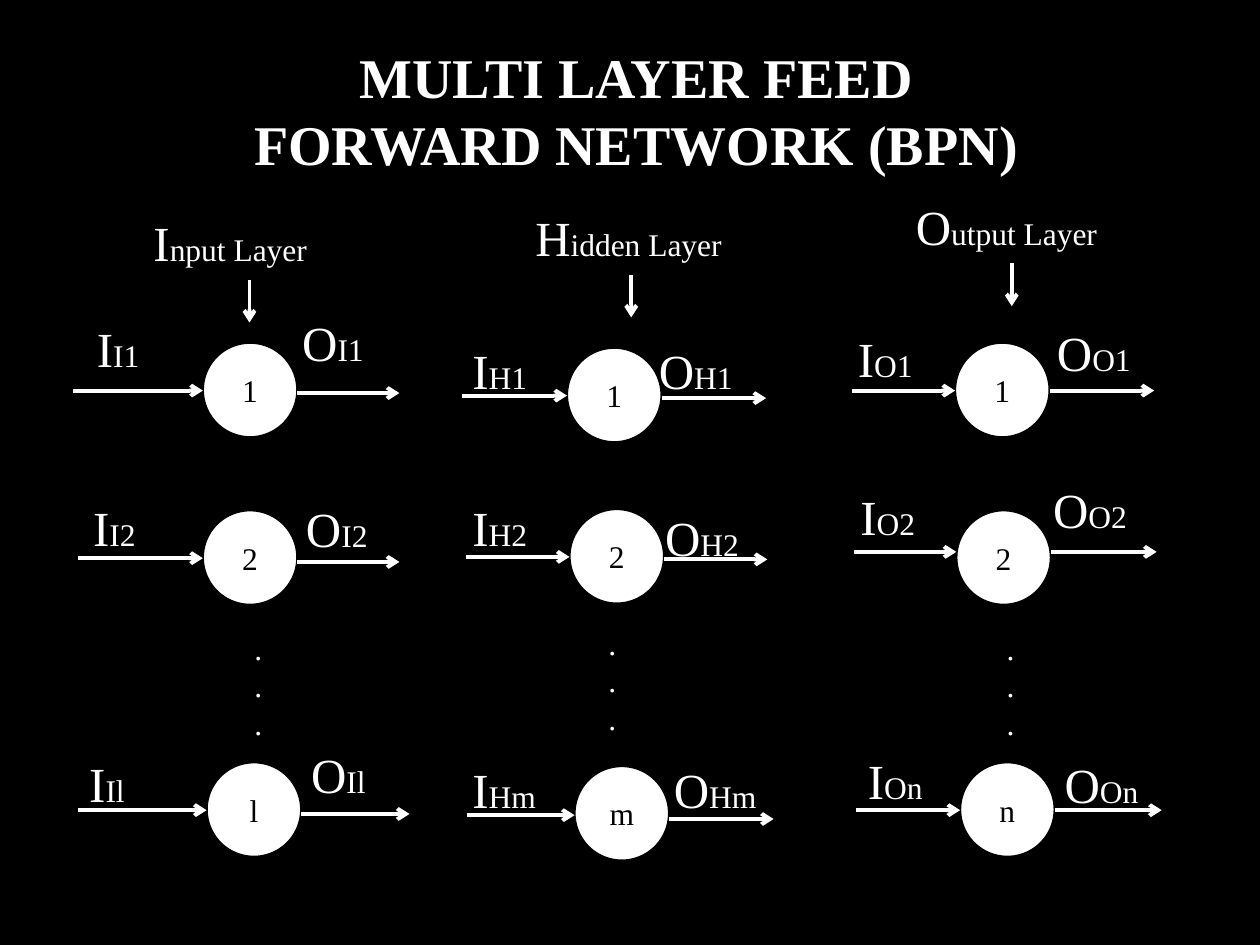
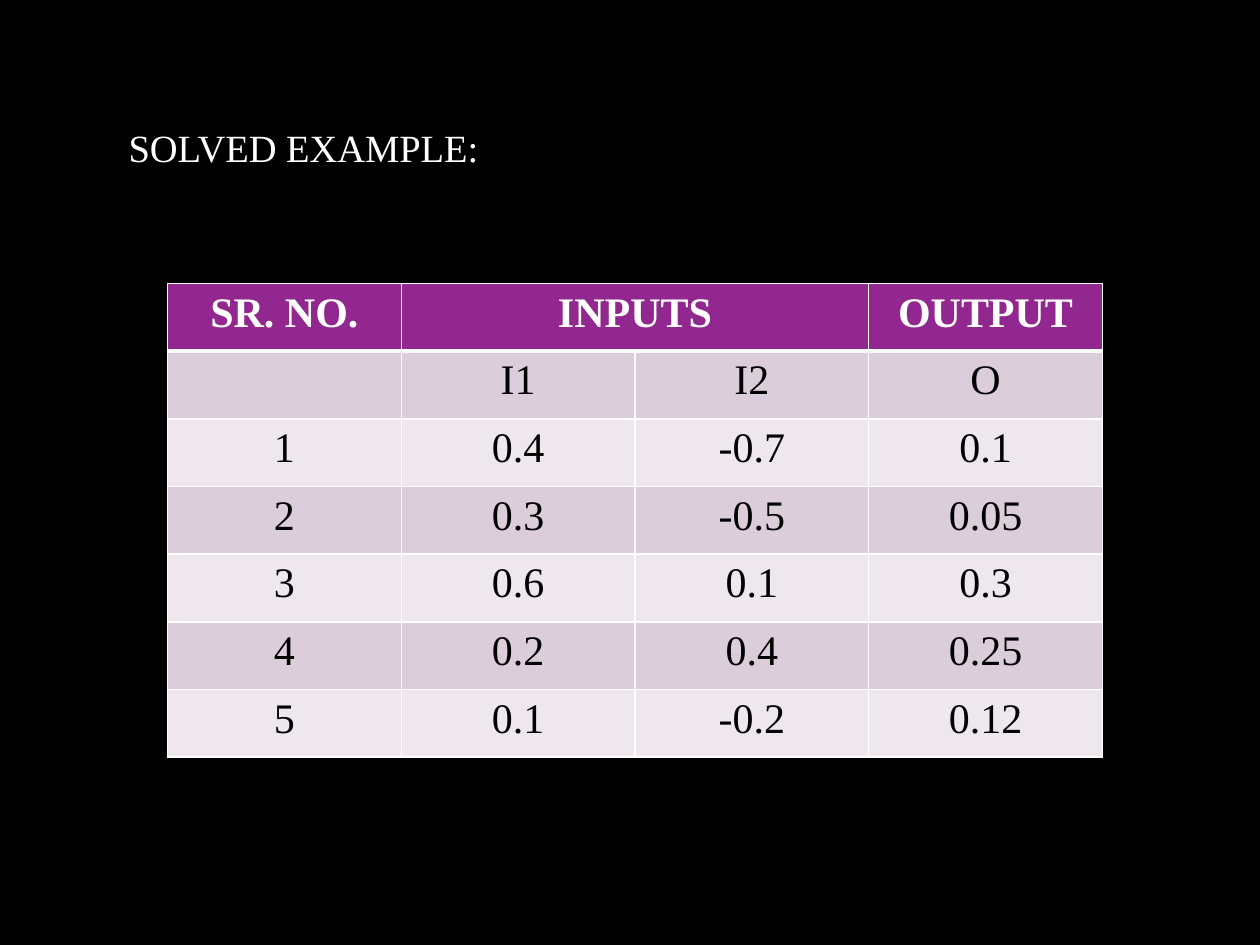
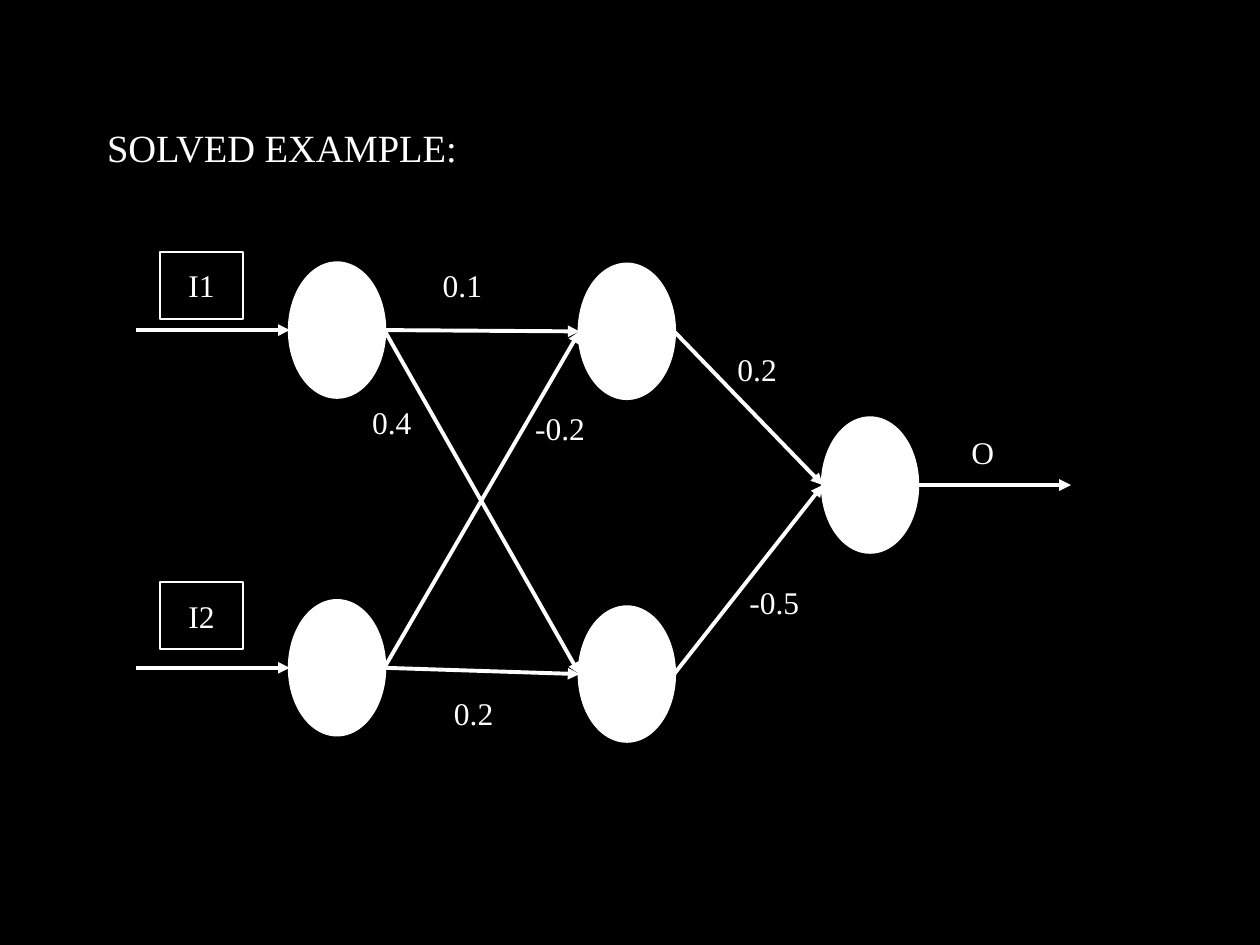
from collections import namedtuple

from lxml import etree
from pptx import Presentation
from pptx.dml.color import RGBColor
from pptx.enum.shapes import MSO_CONNECTOR, MSO_SHAPE
from pptx.enum.text import MSO_ANCHOR, PP_ALIGN
from pptx.oxml.ns import qn
from pptx.util import Inches, Pt

STRAIGHT = MSO_CONNECTOR.STRAIGHT
OVAL = MSO_SHAPE.OVAL
RECTANGLE = MSO_SHAPE.RECTANGLE
MIDDLE = MSO_ANCHOR.MIDDLE
TOP = MSO_ANCHOR.TOP
CENTER = PP_ALIGN.CENTER
LEFT = PP_ALIGN.LEFT

FONT = "Times New Roman"
COLORS = {
    "background": "000000",
    "light": "FFFFFF",
    "dark": "000000",
    "header": "92278F",
    "odd_row": "DCCDDB",
    "even_row": "EEE8EE",
}
TITLE_ONLY = 5

NEURON_SIZE = 0.75
NODE_WIDTH, NODE_HEIGHT = 0.75, 1.06
LABEL_HEIGHT = 0.53

Neuron = namedtuple(
    "Neuron", "name position input_start output_end input_label output_label"
)
Layer = namedtuple("Layer", "name label_position dots_position neurons")

LAYERS = [
    Layer("Input Layer", (1.12, 1.64), (1.92, 4.94), [
        Neuron("1", (1.61, 2.72), (0.58, 3.1), (3.17, 3.12), (0.67, 2.48), (2.3, 2.43)),
        Neuron("2", (1.61, 4.05), (0.62, 4.43), (3.17, 4.46), (0.64, 3.9), (2.33, 3.91)),
        Neuron("l", (1.64, 6.05), (0.62, 6.43), (3.25, 6.46), (0.61, 5.93), (2.37, 5.86)),
    ]),
    Layer("Hidden Layer", (4.15, 1.6), (4.73, 4.9), [
        Neuron("1", (4.5, 2.76), (3.67, 3.14), (6.08, 3.16), (3.65, 2.65), (5.13, 2.65)),
        Neuron("2", (4.52, 4.04), (3.7, 4.42), (6.09, 4.44), (3.65, 3.9), (5.18, 3.98)),
        Neuron("m", (4.56, 6.08), (3.71, 6.47), (6.14, 6.5), (3.65, 5.98), (5.25, 5.98)),
    ]),
    Layer("Output Layer", (7.17, 1.51), (7.89, 4.94), [
        Neuron("1", (7.58, 2.72), (6.76, 3.1), (9.16, 3.1), (6.71, 2.56), (8.29, 2.51)),
        Neuron("2", (7.59, 4.05), (6.78, 4.38), (9.18, 4.38), (6.73, 3.81), (8.26, 3.76)),
        Neuron("n", (7.62, 6.05), (6.79, 6.43), (9.22, 6.43), (6.79, 5.91), (8.35, 5.94)),
    ]),
]

EXAMPLE_ROWS = [
    ["SR. NO.", "INPUTS", "", "OUTPUT"],
    ["", "I1", "I2", "O"],
    ["1", "0.4", "-0.7", "0.1"],
    ["2", "0.3", "-0.5", "0.05"],
    ["3", "0.6", "0.1", "0.3"],
    ["4", "0.2", "0.4", "0.25"],
    ["5", "0.1", "-0.2", "0.12"],
]

NODES = {
    "input 1": (2.3, 2.09),
    "input 2": (2.3, 4.77),
    "hidden 1": (4.6, 2.1),
    "hidden 2": (4.6, 4.82),
    "output": (6.53, 3.32),
}
LINKS = [
    ("input 1", "hidden 1"),
    ("input 1", "hidden 2"),
    ("input 2", "hidden 1"),
    ("input 2", "hidden 2"),
    ("hidden 1", "output"),
    ("hidden 2", "output"),
]
INPUT_LABELS = [("I1", 1.27, 2), ("I2", 1.27, 4.62)]
LINK_LABELS = [
    ("0.1", 3.34, 2, 0.66),
    ("0.4", 2.78, 3.08, 0.66),
    ("-0.2", 4.05, 3.13, 0.79),
    ("0.2", 3.43, 5.39, 0.66),
    ("-0.5", 5.77, 4.51, 0.75),
    ("0.2", 5.68, 2.66, 0.66),
    ("O", 7.47, 3.32, 0.66),
]


def color(name):
    return RGBColor.from_string(COLORS[name])


def format_run(run, size, color_name="light", bold=False):
    run.font.name = FONT
    run.font.size = Pt(size)
    run.font.bold = bold
    run.font.color.rgb = color(color_name)


def write_text(text_frame, text, size=18, color_name="light", bold=False,
               alignment=CENTER, anchor=MIDDLE):
    text_frame.text = text
    text_frame.word_wrap = True
    text_frame.vertical_anchor = anchor
    for paragraph in text_frame.paragraphs:
        paragraph.alignment = alignment
        for run in paragraph.runs:
            format_run(run, size, color_name, bold)


def add_titled_slide(presentation, text, left, top, width, height, **text_format):
    slide = presentation.slides.add_slide(presentation.slide_layouts[TITLE_ONLY])
    title = slide.shapes.title
    title.left, title.top = Inches(left), Inches(top)
    title.width, title.height = Inches(width), Inches(height)
    write_text(title.text_frame, text, **text_format)
    return slide


def add_text(slide, text, left, top, width, height, **text_format):
    box = slide.shapes.add_textbox(
        Inches(left), Inches(top), Inches(width), Inches(height)
    )
    write_text(box.text_frame, text, **text_format)
    return box


def add_large_initial(slide, initial, rest, left, top, width=0.92):
    box = add_text(slide, initial, left, top, width, 0.57,
                   size=28, alignment=LEFT, anchor=TOP)
    run = box.text_frame.paragraphs[0].add_run()
    run.text = rest
    format_run(run, 18)


def add_outlined_shape(slide, kind, left, top, width, height, fill, line, line_width):
    shape = slide.shapes.add_shape(
        kind, Inches(left), Inches(top), Inches(width), Inches(height)
    )
    shape.shadow.inherit = False
    if fill:
        shape.fill.solid()
        shape.fill.fore_color.rgb = color(fill)
    else:
        shape.fill.background()
    shape.line.color.rgb = color(line)
    shape.line.width = Pt(line_width)
    return shape


def add_arrow(slide, start, end, head):
    connector = slide.shapes.add_connector(
        STRAIGHT, *[Inches(value) for value in (*start, *end)]
    )
    connector.line.color.rgb = color("light")
    connector.line.width = Pt(2.25)
    properties = connector._element.spPr
    etree.SubElement(properties.find(qn("a:ln")), qn("a:tailEnd"), type=head)
    etree.SubElement(properties, qn("a:effectLst"))


def add_neuron(slide, neuron, layer_letter):
    left, top = neuron.position
    circle = add_outlined_shape(slide, OVAL, left, top, NEURON_SIZE, NEURON_SIZE,
                                "light", "dark", 1.25)
    write_text(circle.text_frame, neuron.name, color_name="dark")
    add_arrow(slide, neuron.input_start, (left, neuron.input_start[1]), "arrow")
    add_arrow(slide, (left + NEURON_SIZE, neuron.output_end[1]), neuron.output_end, "arrow")
    subscript = layer_letter + neuron.name
    add_large_initial(slide, "I", subscript, *neuron.input_label)
    add_large_initial(slide, "O", subscript, *neuron.output_label)


def add_layer(slide, layer):
    initial, rest = layer.name[0], layer.name[1:]
    left, top = layer.label_position
    add_large_initial(slide, initial, rest, left, top, width=1.96)
    arrow_left = left + 0.86
    add_arrow(slide, (arrow_left, top + 0.58), (arrow_left, top + 0.92), "arrow")
    add_text(slide, ".\n.\n.", *layer.dots_position, 0.52, 1.01,
             alignment=LEFT, anchor=TOP)
    for neuron in layer.neurons:
        add_neuron(slide, neuron, initial)


def set_cell_borders(cell, widths):
    properties = cell._tc.get_or_add_tcPr()
    for side in ("L", "R", "T", "B"):
        line = etree.SubElement(properties, qn(f"a:ln{side}"),
                                w=str(Pt(widths.get(side, 1))))
        fill = etree.SubElement(line, qn("a:solidFill"))
        etree.SubElement(fill, qn("a:srgbClr"), val=COLORS["light"])


def format_cell(cell, text, row_index):
    is_header = row_index == 0
    write_text(cell.text_frame, text, size=24, bold=is_header,
               color_name="light" if is_header else "dark")
    cell.vertical_anchor = TOP
    set_cell_borders(cell, {0: {"B": 3}, 1: {"T": 3}}.get(row_index, {}))
    row_color = "odd_row" if row_index % 2 else "even_row"
    cell.fill.solid()
    cell.fill.fore_color.rgb = color("header" if is_header else row_color)


def add_example_table(slide, rows):
    table = slide.shapes.add_table(
        len(rows), len(rows[0]),
        Inches(1.33), Inches(2.25), Inches(7.42), Inches(3.76)
    ).table
    for row_index, row in enumerate(rows):
        for column_index, text in enumerate(row):
            format_cell(table.cell(row_index, column_index), text, row_index)
    table.cell(0, 1).merge(table.cell(0, 2))


def node_left(name):
    left, top = NODES[name]
    return left, top + NODE_HEIGHT / 2


def node_right(name):
    left, middle = node_left(name)
    return left + NODE_WIDTH, middle


def add_example_network(slide):
    for left, top in NODES.values():
        add_outlined_shape(slide, OVAL, left, top, NODE_WIDTH, NODE_HEIGHT,
                           "light", "light", 2.25)
    for name in ("input 1", "input 2"):
        end = node_left(name)
        add_arrow(slide, (1.08, end[1]), end, "triangle")
    for source, target in LINKS:
        add_arrow(slide, node_right(source), node_left(target), "triangle")
    start = node_right("output")
    add_arrow(slide, start, (8.5, start[1]), "triangle")
    for text, left, top in INPUT_LABELS:
        box = add_outlined_shape(slide, RECTANGLE, left, top, 0.66, LABEL_HEIGHT,
                                 None, "light", 1.25)
        write_text(box.text_frame, text)
    for text, left, top, width in LINK_LABELS:
        add_text(slide, text, left, top, width, LABEL_HEIGHT)


def add_example_slide(presentation, left):
    return add_titled_slide(presentation, "SOLVED EXAMPLE:", left, 0.83, 8.67, 0.67,
                            size=22, alignment=LEFT)


def main():
    presentation = Presentation()
    presentation.slide_width = Inches(10)
    presentation.slide_height = Inches(7.5)
    background = presentation.slide_master.background.fill
    background.solid()
    background.fore_color.rgb = color("background")

    network_slide = add_titled_slide(
        presentation, "MULTI LAYER FEED FORWARD NETWORK (BPN)",
        1.75, 0.28, 6.6, 1.18, size=32, bold=True
    )
    for layer in LAYERS:
        add_layer(network_slide, layer)

    add_example_table(add_example_slide(presentation, 0.92), EXAMPLE_ROWS)
    add_example_network(add_example_slide(presentation, 0.75))

    presentation.save("out.pptx")


if __name__ == "__main__":
    main()
